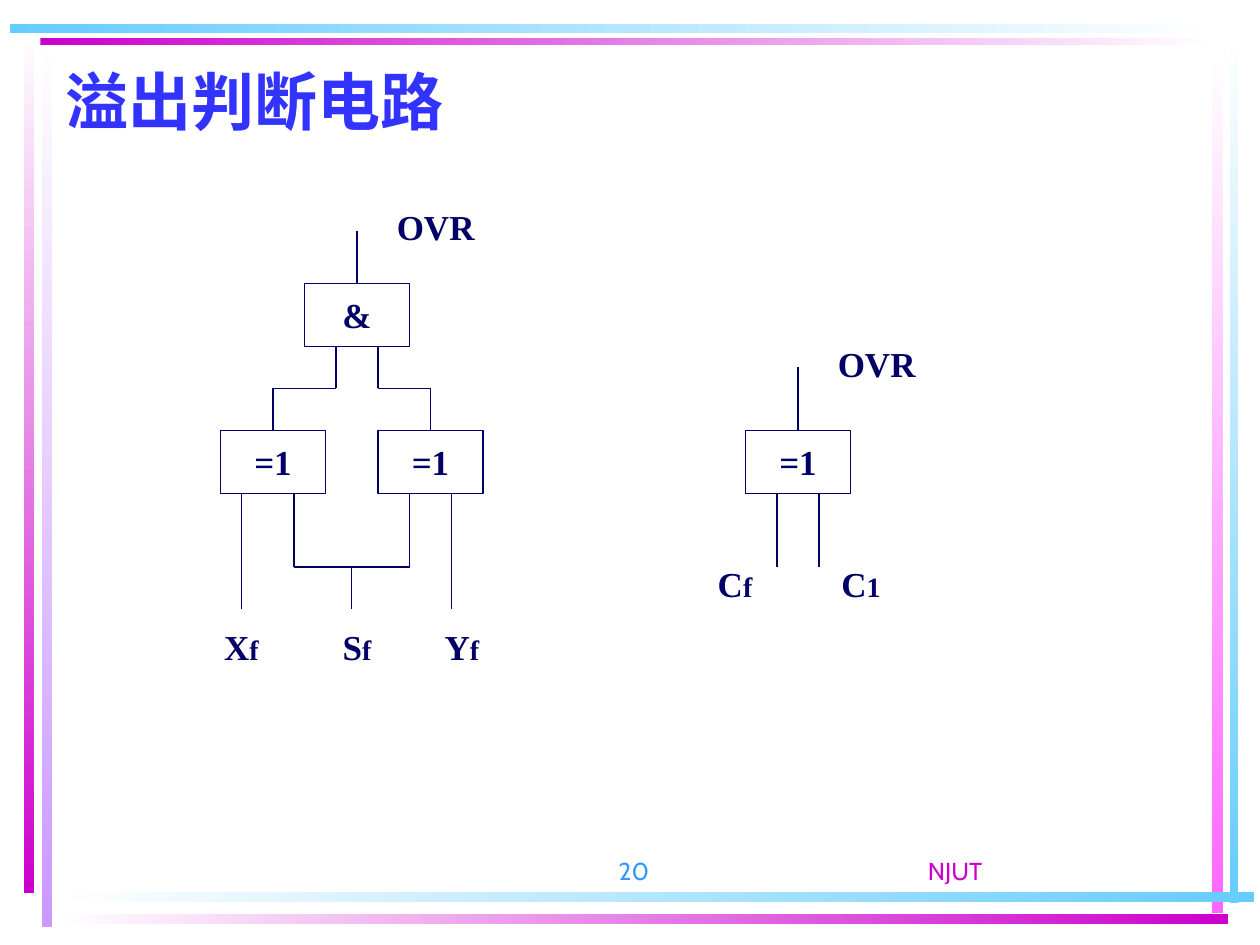
from lxml import etree
from pptx import Presentation
from pptx.dml.color import RGBColor
from pptx.enum import shapes, text
from pptx.oxml.ns import qn
from pptx.util import Inches, Pt

WHITE = RGBColor(0xFF, 0xFF, 0xFF)
NAVY = RGBColor(0x00, 0x00, 0x66)
BLUE = RGBColor(0x33, 0x33, 0xFF)
AZURE = RGBColor(0x33, 0x99, 0xFF)
MAGENTA = RGBColor(0xCC, 0x00, 0xCC)
LILAC = RGBColor(0xCC, 0x99, 0xFF)
PINK = RGBColor(0xFF, 0x66, 0xFF)
SKY = RGBColor(0x66, 0xCC, 0xFF)

SANS, SERIF = "Cabin", "Times New Roman"

# Border bars, in inches: left, top, width, height, first colour, last colour
BARS = [
    (0.33, 0.28, 0.08, 7.08, WHITE, LILAC),
    (0.19, 0.25, 0.08, 6.84, WHITE, MAGENTA),
    (9.76, 0.24, 0.07, 6.93, WHITE, SKY),
    (9.62, 0.42, 0.09, 6.83, WHITE, PINK),
    (0.45, 7.08, 9.5, 0.08, WHITE, SKY),
    (0.45, 7.25, 9.3, 0.08, WHITE, MAGENTA),
    (0.32, 0.3, 9.32, 0.06, MAGENTA, WHITE),
    (0.08, 0.19, 9.56, 0.07, SKY, WHITE),
]

# The circuits lie on a grid of twelfths of an inch.
GATE_WIDTH, GATE_HEIGHT = 10, 6
LABEL_HEIGHT = 5.25

GATES = [("&", 29, 27), ("=1", 21, 41), ("=1", 36, 41), ("=1", 71, 41)]

# Where the wire into the top of each gate starts (vertical position)
GATE_WIRE_STARTS = [22, 37, 37, 35]

WIRES = [
    # gate inputs of the left circuit
    (23, 47, 23, 58), (28, 47, 28, 54), (39, 47, 39, 54), (43, 47, 43, 58),
    # shared sign input
    (28, 54, 39, 54), (33.5, 54, 33.5, 58),
    # inputs of the AND gate
    (32, 33, 32, 37), (26, 37, 32, 37), (36, 33, 36, 37), (36, 37, 41, 37),
    # carry inputs of the right circuit
    (74, 47, 74, 54), (78, 47, 78, 54),
]

# Name, suffix, left, top, width
LABELS = [
    ("X", "f", 20, 59, 6), ("S", "f", 31, 59, 6), ("Y", "f", 41, 59, 6),
    ("OVR", "", 36, 19, 11), ("OVR", "", 78, 32, 11),
    ("C", "f", 67, 53, 6), ("C", "1", 78, 53, 8),
]


def grid(*values):
    return [Inches(value / 12) for value in values]


def write(shape, runs, font_name, color, bold=True,
          align=text.PP_ALIGN.CENTER, anchor=text.MSO_ANCHOR.TOP, wrap=True):
    """Fill the shape with one paragraph made of (text, size) runs."""
    frame = shape.text_frame
    frame.word_wrap = wrap
    frame.vertical_anchor = anchor
    paragraph = frame.paragraphs[0]
    paragraph.alignment = align
    for words, size in runs:
        run = paragraph.add_run()
        run.text = words
        font = run.font
        font.name, font.size, font.bold = font_name, Pt(size), bold
        font.color.rgb = color


def add_bar(slide, left, top, width, height, first, last):
    bar = slide.shapes.add_shape(
        shapes.MSO_SHAPE.RECTANGLE, *map(Inches, (left, top, width, height)))
    bar.shadow.inherit = False
    bar.line.fill.background()
    bar.fill.gradient()
    bar.fill.gradient_angle = 270 if height > width else 0
    for stop, color in zip(bar.fill.gradient_stops, (first, last)):
        stop.color.rgb = color


def add_gate(slide, symbol, left, top):
    gate = slide.shapes.add_shape(
        shapes.MSO_SHAPE.RECTANGLE, *grid(left, top, GATE_WIDTH, GATE_HEIGHT))
    gate.shadow.inherit = False
    gate.fill.background()
    gate.line.color.rgb = NAVY
    gate.line.width = Pt(0.75)
    write(gate, [(symbol, 20)], SERIF, NAVY,
          anchor=text.MSO_ANCHOR.MIDDLE, wrap=False)
    return gate


def add_wire(slide, *ends):
    wire = slide.shapes.add_connector(
        shapes.MSO_CONNECTOR.STRAIGHT, *grid(*ends))
    wire.line.color.rgb = NAVY
    wire.line.width = Pt(0.75)
    etree.SubElement(wire._element.spPr, qn("a:effectLst"))
    return wire


def main():
    presentation = Presentation()
    presentation.slide_width, presentation.slide_height = Inches(10), Inches(7.5)
    slide = presentation.slides.add_slide(presentation.slide_layouts[6])

    for bar in BARS:
        add_bar(slide, *bar)

    def add_box(*place):
        return slide.shapes.add_textbox(*place)

    write(add_box(*map(Inches, (5.83, 6.58, 3.5, 0.5))), [("NJUT", 14)],
          SANS, MAGENTA, bold=False, anchor=text.MSO_ANCHOR.BOTTOM)
    write(add_box(*map(Inches, (3.17, 6.58, 2.08, 0.5))), [("20", 14)],
          SANS, AZURE, bold=False, align=text.PP_ALIGN.RIGHT,
          anchor=text.MSO_ANCHOR.BOTTOM)
    write(add_box(*map(Inches, (0.42, 0.42, 8.75, 0.75))),
          [("溢出判断电路", 36)], SANS, BLUE, align=text.PP_ALIGN.LEFT,
          anchor=text.MSO_ANCHOR.MIDDLE)

    for (symbol, left, top), start in zip(GATES, GATE_WIRE_STARTS):
        gate = add_gate(slide, symbol, left, top)
        middle = left + GATE_WIDTH / 2
        add_wire(slide, middle, start, middle, top).end_connect(gate, 0)
    for wire in WIRES:
        add_wire(slide, *wire)
    for name, suffix, left, top, width in LABELS:
        runs = [(name, 20)] + ([(suffix, 16)] if suffix else [])
        write(add_box(*grid(left, top, width, LABEL_HEIGHT)), runs, SERIF, NAVY)

    presentation.save("out.pptx")


if __name__ == "__main__":
    main()
